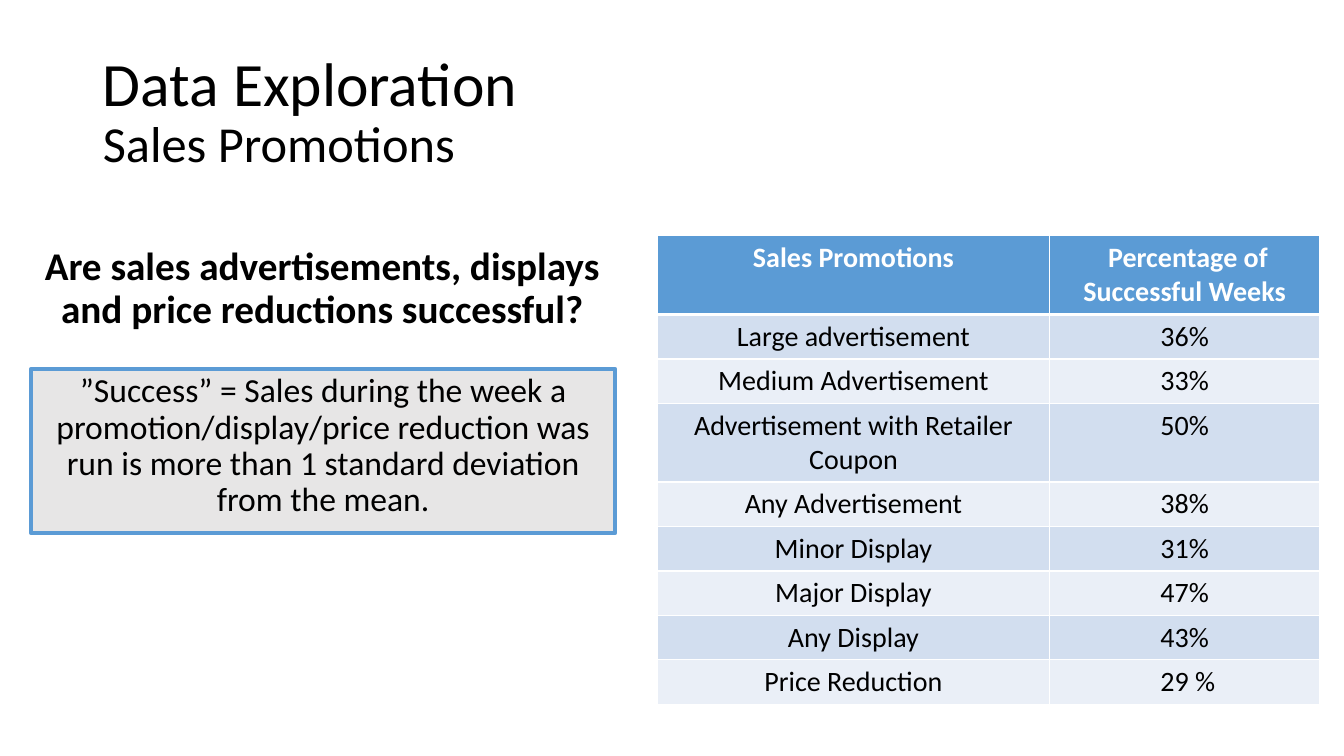
import pptx
import pptx.util
import pptx.dml.color
import pptx.enum.text
import pptx.enum.shapes
import pptx.oxml
import pptx.oxml.ns

Inches = pptx.util.Inches
Pt = pptx.util.Pt
ALIGN = pptx.enum.text.PP_ALIGN
ANCHOR = pptx.enum.text.MSO_ANCHOR
BLACK, WHITE, BLUE, GREY = "000000", "FFFFFF", "5B9BD5", "E7E6E6"
BANDS = ["D2DEEF", "EAEFF7"]


def color(code):
    return pptx.dml.color.RGBColor.from_string(code)


def apply(item, values):
    for name, value in values.items():
        setattr(item, name, value)


class Deck:
    face = "Calibri"

    def __init__(self, wide, high):
        self.file = pptx.Presentation()
        apply(self.file, {"slide_width": Inches(wide), "slide_height": Inches(high)})
        self.slide = self.file.slides.add_slide(self.file.slide_layouts[1])

    def place(self, shape, box):
        names = ["left", "top", "width", "height"]
        apply(shape, dict(zip(names, map(Inches, box))))

    def label(self, para, text, size, tint=BLACK, bold=False, **form):
        run = para.add_run()
        run.text = text
        apply(run.font, {"name": self.face, "size": Pt(size), "bold": bold})
        run.font.color.rgb = color(tint)
        apply(para, form)

    def frame(self, shape, anchor):
        frame = shape.text_frame
        apply(frame, {"word_wrap": True, "vertical_anchor": anchor,
                      "auto_size": pptx.enum.text.MSO_AUTO_SIZE.NONE})
        return frame.paragraphs[0]

    def title(self, box, head, sub):
        shape = self.slide.shapes.title
        self.place(shape, box)
        para = self.frame(shape, ANCHOR.MIDDLE)
        self.label(para, head, 44, alignment=ALIGN.LEFT, line_spacing=0.9)
        para.add_line_break()
        self.label(para, sub, 36)

    def body(self, box, text):
        shape = self.slide.placeholders[1]
        self.place(shape, box)
        para = self.frame(shape, ANCHOR.TOP)
        self.label(para, text, 28, bold=True, alignment=ALIGN.CENTER,
                   line_spacing=0.9, space_before=Pt(10))
        props = para._p.get_or_add_pPr()
        props.set("marL", "0")
        props.set("indent", "0")
        props.append(pptx.oxml.parse_xml(
            f'<a:buNone {pptx.oxml.ns.nsdecls("a")}/>'))

    def panel(self, box, text):
        kind = pptx.enum.shapes.MSO_SHAPE.RECTANGLE
        shape = self.slide.shapes.add_shape(kind, *map(Inches, box))
        shape.shadow.inherit = False
        shape.fill.solid()
        shape.fill.fore_color.rgb = color(GREY)
        shape.line.color.rgb = color(BLUE)
        shape.line.width = Pt(3)
        self.label(self.frame(shape, ANCHOR.TOP), text, 24,
                   alignment=ALIGN.CENTER, line_spacing=0.9, space_before=Pt(10))

    def border(self, cell, widths):
        props = cell._tc.get_or_add_tcPr()
        for spot, (side, width) in enumerate(widths.items()):
            props.insert(spot, pptx.oxml.parse_xml(
                f'<a:ln{side} {pptx.oxml.ns.nsdecls("a")} w="{Pt(width)}">'
                f'<a:solidFill><a:srgbClr val="{WHITE}"/></a:solidFill></a:ln{side}>'))

    def table(self, left, top, widths, height, rows):
        shape = self.slide.shapes.add_table(
            len(rows), len(widths), Inches(left), Inches(top),
            Inches(sum(widths)), Inches(height * len(rows)))
        grid = shape.table
        for col, width in zip(grid.columns, widths):
            col.width = Inches(width)
        for r, row in enumerate(rows):
            head = r == 0
            grid.rows[r].height = Inches(height)
            for c, text in enumerate(row):
                cell = grid.cell(r, c)
                cell.fill.solid()
                cell.fill.fore_color.rgb = color(BLUE if head else BANDS[(r - 1) % 2])
                self.border(cell, {"L": 1, "R": 1, "T": 3 if r == 1 else 1,
                                   "B": 3 if head else 1})
                self.label(cell.text_frame.paragraphs[0], text, 20,
                           WHITE if head else BLACK, head, alignment=ALIGN.CENTER)


deck = Deck(13.33, 7.5)
deck.title((0.92, 0.4, 11.5, 1.45), "Data Exploration", "Sales Promotions")
deck.body((0.07, 2.4, 6.25, 0.81),
          "Are sales advertisements, displays and price reductions successful?")
deck.panel((0.31, 3.66, 5.79, 1.63),
           "”Success” = Sales during the week a promotion/display/price reduction "
           "was run is more than 1 standard deviation from the mean.")
deck.table(6.52, 2.34, [3.89, 2.68], 0.41, [
    ("Sales Promotions", " Percentage of Successful Weeks"),
    ("Large advertisement", "36%"),
    ("Medium Advertisement", "33%"),
    ("Advertisement with Retailer Coupon", "50%"),
    ("Any Advertisement", "38%"),
    ("Minor Display", "31%"),
    ("Major Display", "47%"),
    ("Any Display", "43%"),
    ("Price Reduction", " 29 %"),
])
deck.file.save("out.pptx")
